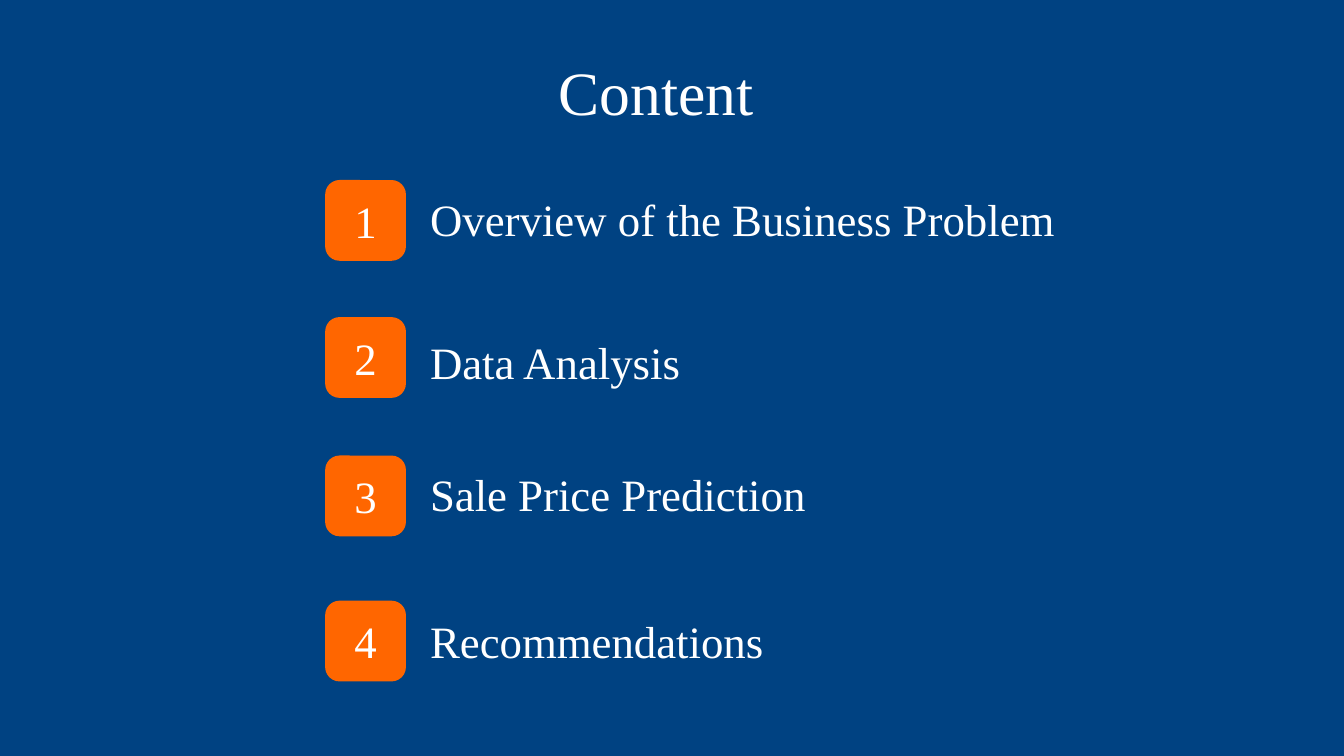
"""Build a contents slide with four numbered topics."""
from pptx import Presentation
from pptx.dml.color import RGBColor
from pptx.enum.shapes import MSO_SHAPE
from pptx.enum.text import MSO_ANCHOR, PP_ALIGN
from pptx.util import Inches, Pt

ROUNDED = MSO_SHAPE.ROUNDED_RECTANGLE
TOP, MIDDLE = MSO_ANCHOR.TOP, MSO_ANCHOR.MIDDLE
LEFT, CENTER = PP_ALIGN.LEFT, PP_ALIGN.CENTER
COLORS = {"background": "004282", "badge": "FF6600", "text": "FFFFFF"}
FONT = "Times New Roman"
TITLE_ONLY = 5

BADGE_LEFT, BADGE_SIZE = 2.43, 0.58
LABEL_LEFT, LABEL_HEIGHT = 3.13, 0.48
TOPICS = [  # badge top, label top, label width, wording
    (1.35, 1.39, 4.91, "Overview of the Business Problem"),
    (2.37, 2.45, 5.06, "Data Analysis"),
    (3.40, 3.43, 5.26, "Sale Price Prediction"),
    (4.48, 4.53, 3.85, "Recommendations"),
]
TOPICS = [tuple(topic) for topic in TOPICS]


def write(box, text, size=24, align=LEFT, anchor=TOP, margins=(0.07, 0.04)):
    frame = box.text_frame
    frame.word_wrap = True
    frame.vertical_anchor = anchor
    frame.margin_left = frame.margin_right = Inches(margins[0])
    frame.margin_top = frame.margin_bottom = Inches(margins[1])
    para = frame.paragraphs[0]
    para.alignment = align
    para.line_spacing = 1.0
    para.space_before = Pt(0)
    span = para.add_run()
    span.text = text
    span.font.name = FONT
    span.font.size = Pt(size)
    span.font.color.rgb = RGBColor.from_string(COLORS["text"])


deck = Presentation()
deck.slide_width = Inches(10)
deck.slide_height = deck.slide_width * 9 // 16
page = deck.slides.add_slide(deck.slide_layouts[TITLE_ONLY])
page.background.fill.solid()
page.background.fill.fore_color.rgb = RGBColor.from_string(COLORS["background"])

title = page.shapes.title
title.left, title.top = Inches(3.53), Inches(0.36)
title.width, title.height = Inches(2.71), Inches(0.63)
write(title, "Content", size=33, align=CENTER)

for number, (badge_top, label_top, label_width, topic) in enumerate(TOPICS, start=1):
    row = page.shapes.add_group_shape()
    badge = row.shapes.add_shape(ROUNDED, Inches(BADGE_LEFT), Inches(badge_top),
                                 Inches(BADGE_SIZE), Inches(BADGE_SIZE))
    badge.shadow.inherit = False
    badge.fill.solid()
    badge.fill.fore_color.rgb = RGBColor.from_string(COLORS["badge"])
    badge.line.color.rgb = RGBColor.from_string(COLORS["badge"])
    badge.line.width = Pt(1.5)
    write(badge, str(number), align=CENTER, anchor=MIDDLE, margins=(0.1, 0.05))
    label = row.shapes.add_textbox(Inches(LABEL_LEFT), Inches(label_top),
                                   Inches(label_width), Inches(LABEL_HEIGHT))
    write(label, topic)

deck.save("out.pptx")
